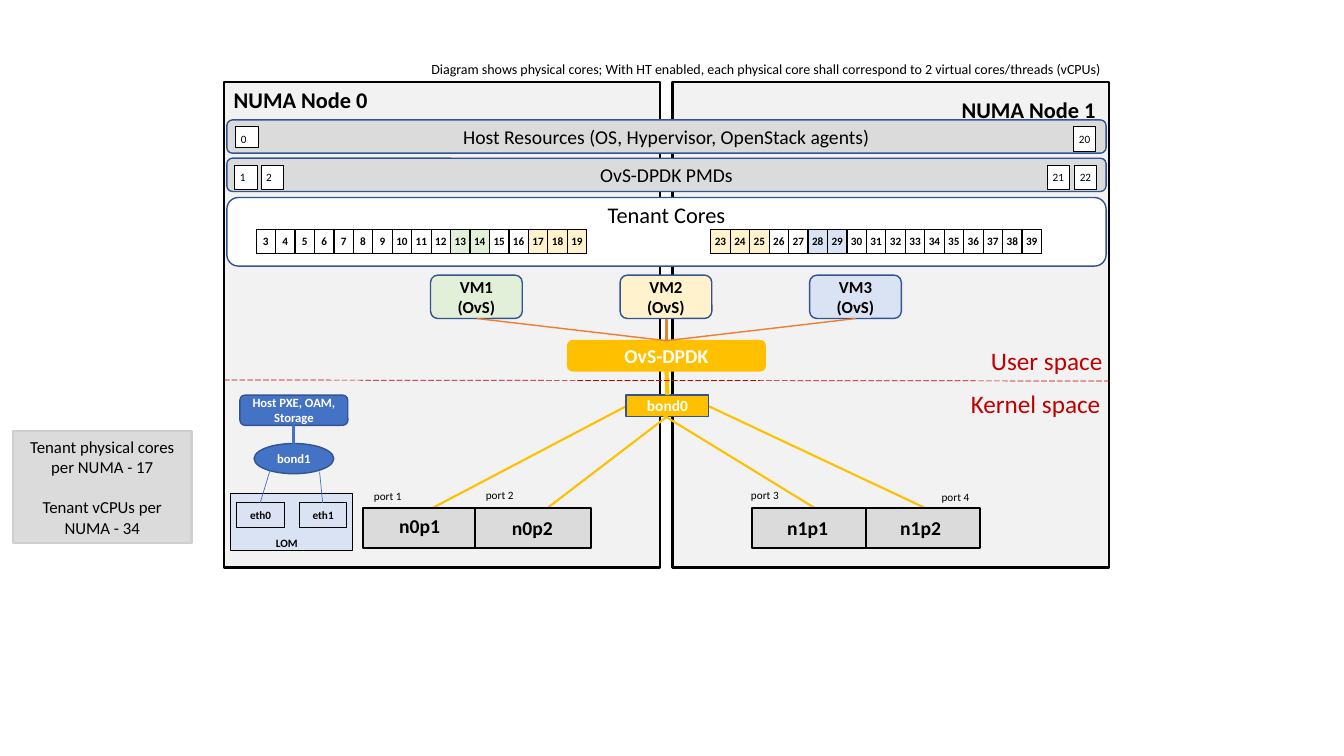
from dataclasses import dataclass
from typing import Any

from lxml import etree
from pptx import Presentation
from pptx.dml.color import RGBColor
from pptx.enum import dml, shapes, text
from pptx.oxml import ns
from pptx.util import Inches, Pt

BLACK, WHITE, GRAY, NAVY = "000000", "FFFFFF", "DBDBDB", "325491"
GOLD, ORANGE, RED, BLUE = "FFC000", "ED7D31", "C00000", "4472C4"
GREEN_TINT, YELLOW_TINT, BLUE_TINT = "E2F0D9", "FFF2CC", "DAE3F3"
RECT = shapes.MSO_SHAPE.RECTANGLE
ROUND = shapes.MSO_SHAPE.ROUNDED_RECTANGLE
OVAL = shapes.MSO_SHAPE.OVAL
TOP, MIDDLE = text.MSO_ANCHOR.TOP, text.MSO_ANCHOR.MIDDLE
LEFT, CENTER = text.PP_ALIGN.LEFT, text.PP_ALIGN.CENTER


@dataclass
class Words:
    lines: tuple[str, ...]
    size: float
    color: str = BLACK
    bold: bool = False
    align: Any = CENTER
    anchor: Any = MIDDLE
    insets: tuple[float, float, float, float] = (0.1, 0.05, 0.1, 0.05)
    gap: float = 0


@dataclass
class Box:
    at: tuple[float, float, float, float]
    fill: str | None
    line: str = NAVY
    width: float = 1
    kind: Any = RECT
    words: Words | None = None


@dataclass
class Line:
    start: tuple[float, float]
    end: tuple[float, float]
    color: str = GOLD
    width: float = 1.5
    dashed: bool = False


def rgb(value: str) -> RGBColor:
    return RGBColor.from_string(value)


def write(frame: Any, words: Words) -> None:
    frame.word_wrap = True
    frame.vertical_anchor = words.anchor
    (frame.margin_left, frame.margin_top,
     frame.margin_right, frame.margin_bottom) = map(Inches, words.insets)
    for index, line in enumerate(words.lines):
        paragraph = frame.paragraphs[0] if index == 0 else frame.add_paragraph()
        paragraph.alignment = words.align
        if index and words.gap:
            paragraph.space_before = Pt(words.gap)
        run = paragraph.add_run()
        run.text = line
        run.font.name = "Calibri"
        run.font.size = Pt(words.size)
        run.font.bold = words.bold
        run.font.color.rgb = rgb(words.color)


def draw_box(target: Any, box: Box) -> None:
    shape = target.add_shape(box.kind, *map(Inches, box.at))
    shape.shadow.inherit = False
    if box.fill:
        shape.fill.solid()
        shape.fill.fore_color.rgb = rgb(box.fill)
    else:
        shape.fill.background()
    shape.line.color.rgb = rgb(box.line)
    shape.line.width = Pt(box.width)
    if box.words:
        write(shape.text_frame, box.words)


def draw_label(target: Any, at: tuple[float, float, float, float], label: str,
               size: float, color: str = BLACK, bold: bool = False, align: Any = LEFT) -> None:
    shape = target.add_textbox(*map(Inches, at))
    write(shape.text_frame, Words((label,), size, color, bold, align, TOP))


def draw_line(target: Any, line: Line) -> None:
    connector = target.add_connector(shapes.MSO_CONNECTOR.STRAIGHT,
                                     *map(Inches, line.start + line.end))
    connector.line.color.rgb = rgb(line.color)
    connector.line.width = Pt(line.width)
    if line.dashed:
        connector.line.dash_style = dml.MSO_LINE.LONG_DASH
    etree.SubElement(connector._element.spPr, ns.qn("a:effectLst"))


def draw_core(target: Any, left: float, top: float, number: int, height: float = 0.24) -> None:
    words = Words((str(number),), 8, align=LEFT, anchor=TOP, insets=(0.05,) * 4)
    draw_box(target, Box((left, top, 0.22, height), WHITE, BLACK, 0.75, words=words))


def draw_tenant_cores(target: Any, left: float, first: int, tints: dict[int, str]) -> None:
    """Draw one row of 17 numbered cores, tinted by the VM that uses them."""
    count = 17
    table = target.add_table(1, count, *map(Inches, (left, 2.28, 3.28, 0.23))).table
    table.first_row = table.horz_banding = False
    for index in range(count):
        table.columns[index].width = Inches(3.28 / count)
        cell = table.cell(0, index)
        number = first + index
        write(cell.text_frame, Words((str(number),), 8, bold=True))
        cell.vertical_anchor = TOP
        cell.margin_left = cell.margin_right = Inches(0.01)
        cell.margin_top = cell.margin_bottom = Inches(0.05)
        properties = cell._tc.get_or_add_tcPr()
        for side in ("a:lnL", "a:lnR", "a:lnT", "a:lnB"):
            border = etree.SubElement(properties, ns.qn(side), w=str(Pt(1)))
            fill = etree.SubElement(border, ns.qn("a:solidFill"))
            etree.SubElement(fill, ns.qn("a:srgbClr"), val=BLACK)
        if number in tints:
            cell.fill.solid()
            cell.fill.fore_color.rgb = rgb(tints[number])
        else:
            cell.fill.background()


def draw_nic(target: Any, left: float, middle: float,
             ports: tuple[tuple[str, float, float], ...]) -> None:
    nic = target.add_group_shape().shapes
    draw_box(nic, Box((left, 5.04, 2.26, 0.4), GRAY, BLACK, 1.5))
    draw_line(nic, Line((middle, 5.04), (middle, 5.45), BLACK))
    for name, x, y in ports:
        draw_label(nic, (x, y, 0.83, 0.34), name, 14, bold=True)


def draw_nodes(target: Any) -> None:
    summary = Words(("Tenant physical cores per NUMA - 17", "Tenant vCPUs per NUMA - 34"),
                    12, anchor=TOP, gap=14.6)
    draw_box(target, Box((0.13, 4.28, 1.77, 1.11), GRAY, "D0CECE", 1.5, words=summary))
    for left in (2.22, 6.67):
        draw_box(target, Box((left, 0.81, 4.33, 4.82), "F2F2F2", BLACK, 1.5))
    for top, label in ((1.57, "OvS-DPDK PMDs"),
                       (1.19, "Host Resources (OS, Hypervisor, OpenStack agents)")):
        draw_box(target, Box((2.25, top, 8.72, 0.33), GRAY, kind=ROUND,
                             words=Words((label,), 14)))
    for left, number in ((2.33, 1), (2.59, 2), (10.39, 21), (10.66, 22)):
        draw_core(target, left, 1.64, number)
    draw_core(target, 2.34, 1.26, 0, 0.2)
    draw_core(target, 10.65, 1.26, 20)
    tenant = Words(("Tenant Cores",), 16, anchor=TOP, insets=(0.1, 0, 0.1, 0.05))
    draw_box(target, Box((2.25, 1.96, 8.72, 0.68), WHITE, kind=ROUND, words=tenant))
    draw_label(target, (2.22, 0.81, 1.67, 0.37), "NUMA Node 0", 16, bold=True)
    draw_label(target, (9.44, 0.9, 1.6, 0.37), "NUMA Node 1", 16, bold=True)


def draw_virtual_switch(target: Any) -> None:
    draw_box(target, Box((5.63, 3.38, 1.96, 0.3), GOLD, GOLD, kind=ROUND,
                         words=Words(("OvS-DPDK",), 14, WHITE, True)))
    for index, tint in enumerate((GREEN_TINT, YELLOW_TINT, BLUE_TINT)):
        left = 4.27 + 1.88 * index
        words = Words((f"VM{index + 1}", "(OvS)"), 12, bold=True)
        draw_box(target, Box((left, 2.73, 0.91, 0.43), tint, kind=ROUND, words=words))
        draw_line(target, Line((left + 0.46, 3.16), (6.61, 3.38), ORANGE,
                               2.25 if index == 1 else 1))
    for line in (Line((4.27, 5.05), (6.21, 4.03)), Line((7.03, 4.03), (9.24, 5.07))):
        draw_line(target, line)
    draw_box(target, Box((6.21, 3.92, 0.82, 0.21), GOLD,
                         words=Words(("bond0",), 11, WHITE, True)))
    for line in (Line((6.61, 3.67), (6.62, 3.92), width=3),
                 Line((2.22, 3.77), (11.02, 3.78), RED, 0.5, True),
                 Line((5.39, 5.07), (6.62, 4.13)), Line((6.58, 4.12), (8.13, 5.07))):
        draw_line(target, line)
    draw_label(target, (9.73, 3.38, 1.41, 0.4), "User space", 18, RED)
    draw_label(target, (9.53, 3.8, 1.65, 0.4), "Kernel space", 18, RED)


def draw_lom(target: Any) -> None:
    lom = target.add_group_shape().shapes
    draw_box(lom, Box((2.28, 4.89, 1.21, 0.57), BLUE_TINT, BLACK, 0.25))
    draw_label(lom, (2.61, 5.27, 0.47, 0.24), "LOM", 8, bold=True, align=CENTER)
    draw_box(lom, Box((2.52, 4.4, 0.79, 0.3), BLUE, kind=OVAL,
                      words=Words(("bond1",), 9, WHITE, True)))
    draw_box(lom, Box((2.38, 3.92, 1.07, 0.3), BLUE, kind=ROUND,
                      words=Words(("Host PXE, OAM, Storage",), 9, WHITE, True)))
    draw_line(lom, Line((2.91, 4.22), (2.91, 4.4), BLUE, 2.25))
    for left, name in ((2.35, "eth0"), (2.97, "eth1")):
        draw_box(lom, Box((left, 4.99, 0.47, 0.24), None, BLACK, 0.75,
                          words=Words((name,), 8, bold=True, anchor=TOP)))
    draw_line(lom, Line((2.68, 4.66), (2.58, 4.99), BLUE, 0.5))
    draw_line(lom, Line((3.17, 4.68), (3.2, 4.99), BLUE, 0.5))


def main() -> None:
    presentation = Presentation()
    presentation.slide_width, presentation.slide_height = Inches(13.33), Inches(7.5)
    slide = presentation.slides.add_slide(presentation.slide_layouts[6])
    target = slide.shapes
    draw_nodes(target)
    draw_virtual_switch(target)
    draw_nic(target, 3.6, 4.71, (("n0p1", 3.86, 5.05), ("n0p2", 4.98, 5.07)))
    draw_nic(target, 7.46, 8.59, (("n1p1", 7.71, 5.07), ("n1p2", 8.83, 5.07)))
    draw_lom(target)
    draw_tenant_cores(target, 2.54, 3, dict.fromkeys((13, 14), GREEN_TINT)
                      | dict.fromkeys((17, 18, 19), YELLOW_TINT))
    draw_tenant_cores(target, 7.05, 23, dict.fromkeys((23, 24, 25), YELLOW_TINT)
                      | dict.fromkeys((28, 29), BLUE_TINT))
    port_labels = target.add_group_shape().shapes
    for number, (left, top) in enumerate(((3.61, 4.81), (4.72, 4.8), (7.35, 4.8), (9.24, 4.82)), 1):
        draw_label(port_labels, (left, top, 0.55, 0.24), f"port {number}", 8)
    draw_label(target, (4.18, 0.55, 6.97, 0.27), "Diagram shows physical cores; With HT enabled, "
               "each physical core shall correspond to 2 virtual cores/threads (vCPUs)", 10)
    presentation.save("out.pptx")


if __name__ == "__main__":
    main()
